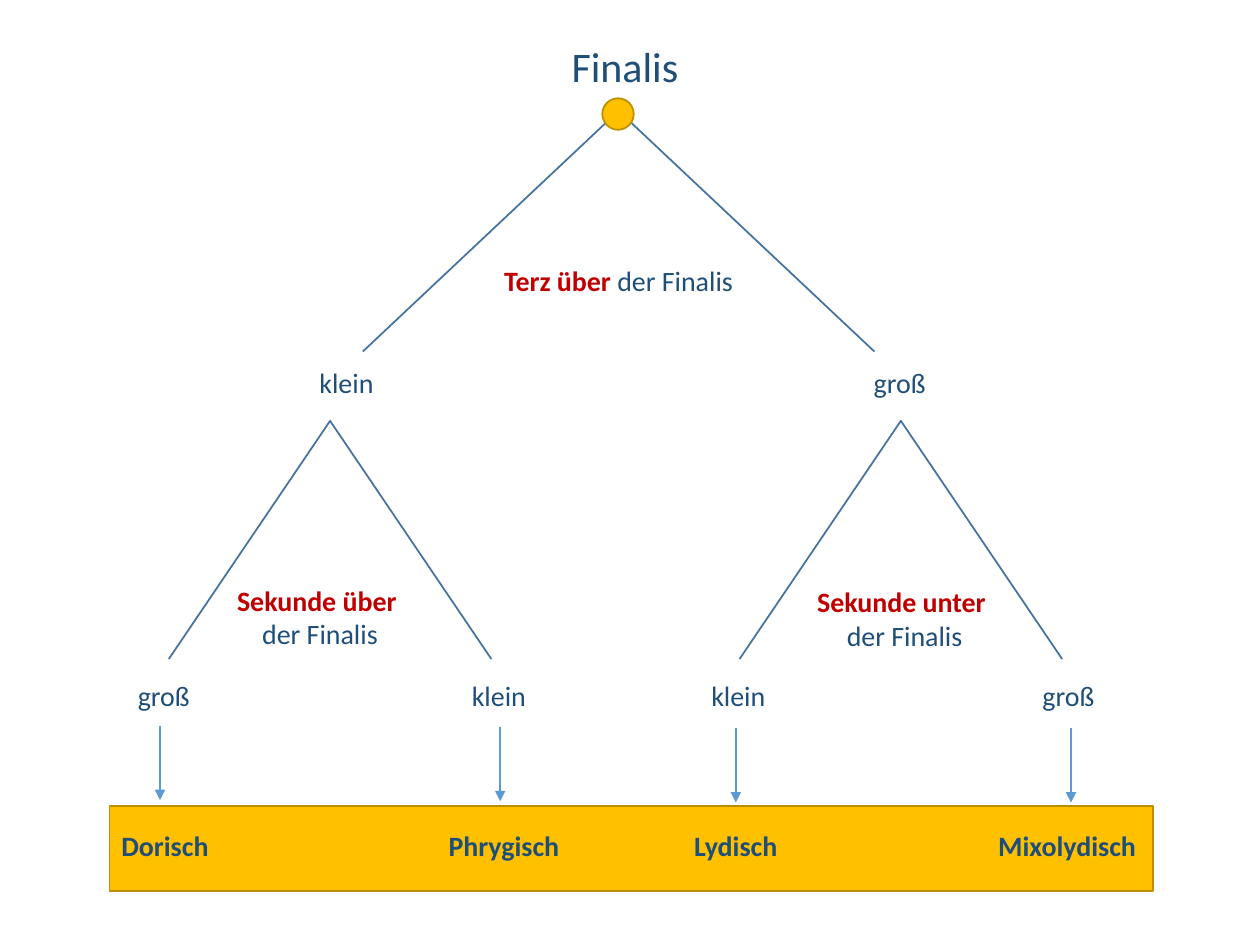
"""Build a decision tree that leads from the Finalis to the four church modes."""
from dataclasses import dataclass
from typing import NamedTuple

from lxml import etree
from pptx import Presentation
from pptx import util as u
from pptx.dml.color import RGBColor
from pptx.enum import shapes as sh, text as tx
from pptx.oxml import ns

NAVY = RGBColor(0x1F, 0x4E, 0x79)
RED = RGBColor(0xC0, 0x00, 0x00)
GOLD = RGBColor(0xFF, 0xC0, 0x00)
RIM = RGBColor(0xBD, 0x8E, 0x00)
STEEL = RGBColor(0x43, 0x73, 0x9E)
BLUE = RGBColor(0x5B, 0x9B, 0xD5)
WIDE, HIGH = 10, 7.5


class Run(NamedTuple):
    text: str
    color: RGBColor = NAVY
    bold: bool = False


@dataclass(frozen=True)
class Label:
    mid: float
    top: float
    lines: tuple[tuple[Run, ...], ...]
    width: float = 1.5
    height: float = 0.37
    size: int = 16


@dataclass(frozen=True)
class Roof:
    mid: float
    top: float
    half: float
    height: float


class Mode(NamedTuple):
    step: str
    name: str
    step_mid: float
    name_mid: float
    arrow: float
    drop: float


ROOFS = (
    Roof(4.91, 0.88, 2.03, 1.91),
    Roof(2.62, 3.34, 1.28, 1.89),
    Roof(7.15, 3.34, 1.28, 1.89),
)
MODES = (
    Mode("groß", "Dorisch", 1.3, 1.31, 1.27, 5.76),
    Mode("klein", "Phrygisch", 3.96, 4.0, 3.97, 5.77),
    Mode("klein", "Lydisch", 5.86, 5.84, 5.84, 5.78),
    Mode("groß", "Mixolydisch", 8.48, 8.47, 8.5, 5.78),
)
REST = (Run("der Finalis"),)
LABELS = (
    Label(4.96, 0.27, ((Run("Finalis"),),), height=0.5, size=24),
    Label(4.91, 2.04, ((Run("Terz über", RED, True), Run(" der Finalis")),), 2.13),
    Label(2.54, 4.58, ((Run("Sekunde über ", RED, True),), REST), 2.7, 0.64),
    Label(7.18, 4.59, ((Run("Sekunde unter ", RED, True),), REST), 2.7, 0.64),
    Label(2.75, 2.85, ((Run("klein"),),)),
    Label(7.14, 2.85, ((Run("groß"),),)),
)


def style(part, values: dict) -> None:
    for key, value in values.items():
        setattr(part, key, value)


def trim(shape, color: RGBColor) -> None:
    shape.line.color.rgb = color
    shape.line.width = u.Pt(1)


def draw_gold(slide, kind, *box: float) -> None:
    shape = slide.shapes.add_shape(kind, *map(u.Inches, box))
    shape.shadow.inherit = False
    shape.fill.solid()
    shape.fill.fore_color.rgb = GOLD
    trim(shape, RIM)


def draw_roof(slide, roof: Roof) -> None:
    base = roof.top + roof.height
    points = ((roof.mid - roof.half, base), (roof.mid, roof.top),
              (roof.mid + roof.half, base))
    first, *rest = [tuple(map(u.Inches, point)) for point in points]
    path = slide.shapes.build_freeform(*first)
    path.add_line_segments(rest, close=False)
    shape = path.convert_to_shape()
    shape.shadow.inherit = False
    shape.fill.background()
    trim(shape, STEEL)


def draw_label(slide, label: Label) -> None:
    box = (label.mid - label.width / 2, label.top, label.width, label.height)
    frame = slide.shapes.add_textbox(*map(u.Inches, box)).text_frame
    frame.word_wrap = True
    for index, line in enumerate(label.lines):
        para = frame.add_paragraph() if index else frame.paragraphs[0]
        para.alignment = tx.PP_ALIGN.CENTER
        for part in line:
            run = para.add_run()
            run.text = part.text
            style(run.font, {"name": "Calibri", "size": u.Pt(label.size), "bold": part.bold})
            run.font.color.rgb = part.color


def draw_arrow(slide, left: float, top: float, length: float = 0.59) -> None:
    ends = map(u.Inches, (left, top, left, top + length))
    arrow = slide.shapes.add_connector(sh.MSO_CONNECTOR.STRAIGHT, *ends)
    trim(arrow, BLUE)
    props = arrow.element.spPr
    etree.SubElement(arrow.line._get_or_add_ln(), ns.qn("a:tailEnd"), type="triangle")
    etree.SubElement(props, ns.qn("a:effectLst"))


def main() -> None:
    deck = Presentation()
    style(deck, {"slide_width": u.Inches(WIDE), "slide_height": u.Inches(HIGH)})
    slide = deck.slides.add_slide(deck.slide_layouts[6])
    draw_gold(slide, sh.MSO_SHAPE.RECTANGLE, 0.87, 6.4, 8.28, 0.67)
    for roof in ROOFS:
        draw_roof(slide, roof)
    draw_gold(slide, sh.MSO_SHAPE.OVAL, 4.78, 0.78, 0.25, 0.25)
    for label in LABELS:
        draw_label(slide, label)
    for mode in MODES:
        draw_label(slide, Label(mode.step_mid, 5.34, ((Run(mode.step),),)))
        draw_arrow(slide, mode.arrow, mode.drop)
        draw_label(slide, Label(mode.name_mid, 6.53, ((Run(mode.name, bold=True),),)))
    deck.save("out.pptx")


main()
